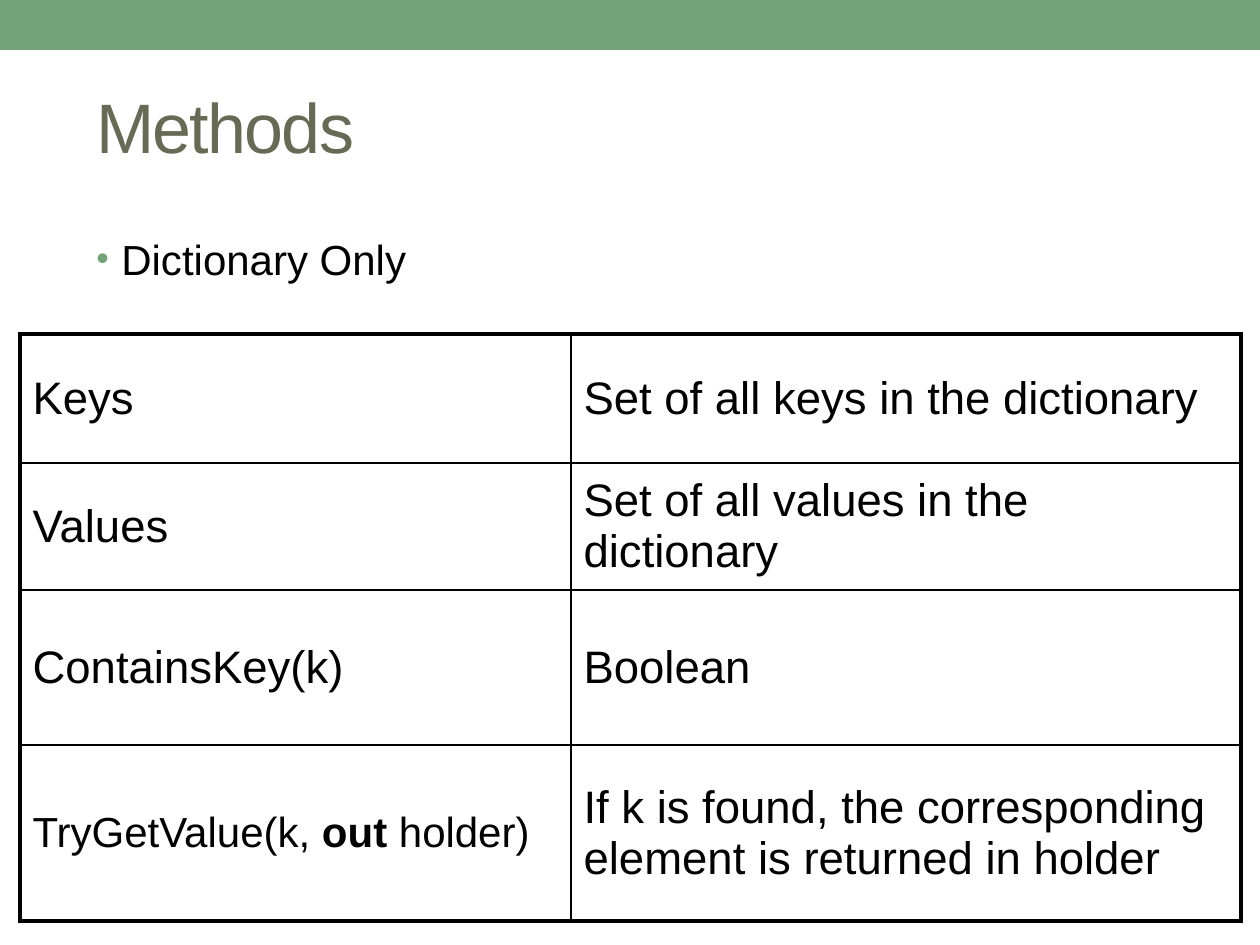
"""Build the Methods slide with its table of dictionary members."""
from lxml.etree import SubElement
from pptx import Presentation
from pptx.dml.color import RGBColor as RGB
from pptx.enum.shapes import MSO_SHAPE as SHAPE
from pptx.enum.text import MSO_ANCHOR as ANCHOR
from pptx.oxml.ns import qn
from pptx.util import Pt

TITLE = "Methods"
BULLET = "Dictionary Only"
ROWS = [
    ("Keys", "Set of all keys in the dictionary"),
    ("Values", "Set of all values in the dictionary"),
    ("ContainsKey(k)", "Boolean"),
    (("TryGetValue(k, ", "out", " holder)"),
     "If k is found, the corresponding element is returned in holder"),
]
BOLD = {"out"}
COLS = [551, 670]
HEIGHTS = [129, 127, 155, 176]
THEME = {
    "font": "Arial", "green": "72A376", "olive": "676A55", "black": "000000",
    "title": 40, "body": 24, "cell": 26, "outer": 2.25, "inner": 1,
}
PX = 914400 // 126


def px(*values):
    return [v * PX for v in values]


def add_run(p, text, size, color="black", bold=False):
    r = p.add_run()
    r.text = text
    r.font.name = THEME["font"]
    r.font.size = Pt(THEME[size])
    r.font.bold = bold
    r.font.color.rgb = RGB.from_string(THEME[color])
    return r


def add_text(s, box, anchor):
    tf = s.shapes.add_textbox(*px(*box)).text_frame
    tf.word_wrap = True
    tf.vertical_anchor = anchor
    return tf.paragraphs[0]


def add_bullet(p):
    pPr = p._p.get_or_add_pPr()
    pPr.set("marL", str(25 * PX))
    pPr.set("indent", str(-25 * PX))
    color = SubElement(pPr, qn("a:buClr"))
    SubElement(color, qn("a:srgbClr"), val=THEME["green"])
    SubElement(pPr, qn("a:buSzPct"), val="85000")
    SubElement(pPr, qn("a:buFont"), typeface=THEME["font"])
    SubElement(pPr, qn("a:buChar"), char="•")


def set_borders(cell, outer):
    tcPr = cell._tc.get_or_add_tcPr()
    for i, (side, is_outer) in enumerate(outer.items()):
        width = Pt(THEME["outer" if is_outer else "inner"])
        ln = SubElement(tcPr, qn(f"a:ln{side}"), w=str(width))
        fill = SubElement(ln, qn("a:solidFill"))
        SubElement(fill, qn("a:srgbClr"), val=THEME["black"])
        tcPr.insert(i, ln)


prs = Presentation()
prs.slide_width, prs.slide_height = px(1260, 945)
s = prs.slides.add_slide(prs.slide_layouts[6])

bar = s.shapes.add_shape(SHAPE.RECTANGLE, *px(0, 0, 1260, 50))
bar.shadow.inherit = False
bar.fill.solid()
bar.fill.fore_color.rgb = RGB.from_string(THEME["green"])
bar.line.fill.background()

p = add_text(s, (84, 58, 1124, 136), ANCHOR.MIDDLE)
r = add_run(p, TITLE, "title", "olive")
r.font._element.set("spc", "-100")

p = add_text(s, (84, 220, 1124, 620), ANCHOR.TOP)
p.line_spacing = 1.14
p.space_before = Pt(4.8)
p.space_after = Pt(6)
add_bullet(p)
add_run(p, BULLET, "body")

frame = s.shapes.add_table(len(ROWS), len(COLS), *px(20, 334, sum(COLS), sum(HEIGHTS)))
table = frame.table
table.first_row = table.horz_banding = False
for col, width in zip(table.columns, COLS):
    col.width = width * PX
for i, (row, height) in enumerate(zip(ROWS, HEIGHTS)):
    table.rows[i].height = height * PX
    for j, content in enumerate(row):
        cell = table.cell(i, j)
        cell.vertical_anchor = ANCHOR.MIDDLE
        cell.fill.background()
        set_borders(cell, {"L": j == 0, "R": j == len(COLS) - 1,
                           "T": i == 0, "B": i == len(ROWS) - 1})
        p = cell.text_frame.paragraphs[0]
        p.space_before = Pt(5.2)
        parts, size = ((content,), "cell") if isinstance(content, str) else (content, "body")
        for text in parts:
            add_run(p, text, size, bold=text in BOLD)

prs.save("out.pptx")
